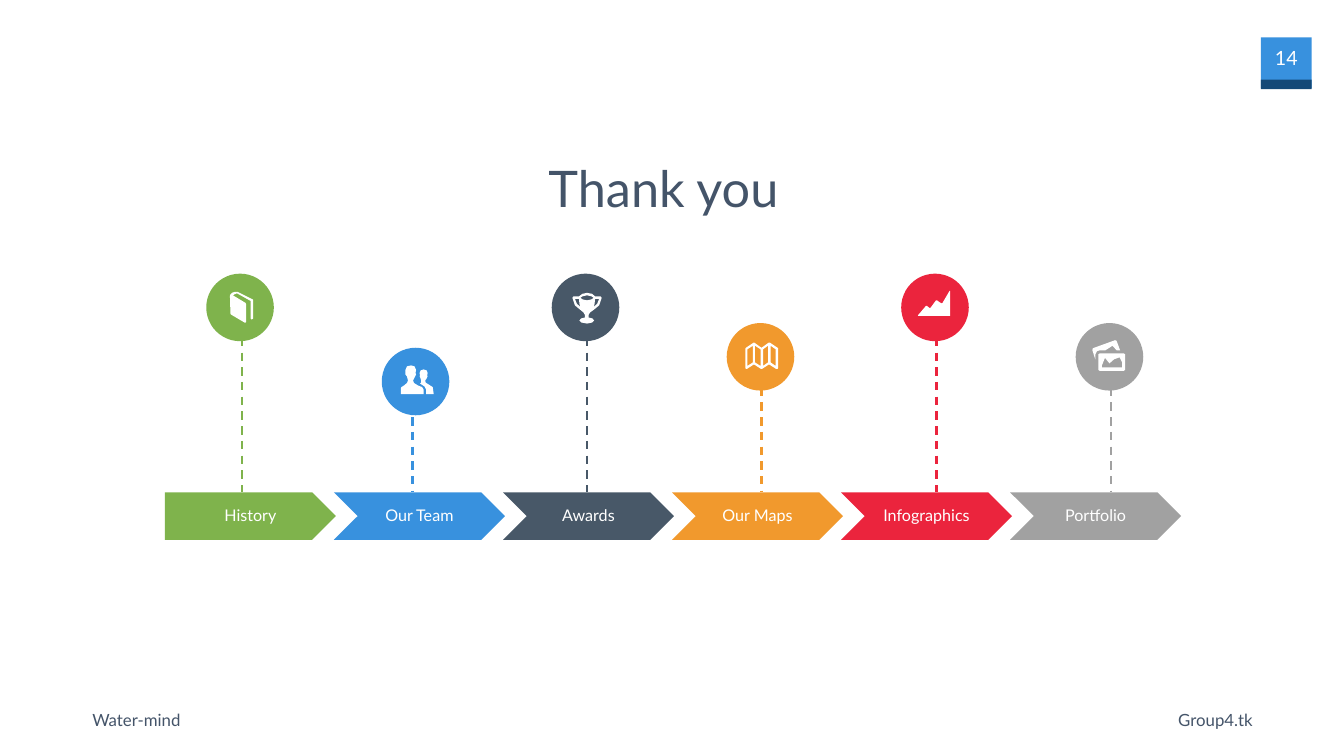
import pptx
import pptx.dml.color
import pptx.enum.dml
import pptx.enum.shapes
import pptx.enum.text
import pptx.oxml.ns
import pptx.util
import lxml.etree

Shape = pptx.enum.shapes.MSO_SHAPE
Align = pptx.enum.text.PP_ALIGN
Anchor = pptx.enum.text.MSO_ANCHOR

COLORS = {
    "green": "7FB34C", "blue": "3891DE", "slate": "485868", "orange": "F1992D",
    "red": "EB243D", "gray": "A1A1A1", "navy": "144977", "ink": "445469", "white": "FFFFFF",
}
COLUMNS, ROWS = 26.65, 15
CIRCLE = 1.34
ARROW_LEFT, ARROW_TOP, ARROW_WIDTH, ARROW_HEIGHT, ARROW_STEP = 3.27, 9.77, 3.39, 0.94, 3.352

BOOK = [
    [(45, 16), (15, 1), (10, 1), (4, 3), (1, 6), (0, 9), (1, 44), (2, 46), (29, 62), (31, 62),
     (32, 61), (32, 25), (31, 23), (6, 8), (9, 6), (14, 4), (39, 18), (41, 19), (41, 54),
     (43, 56), (46, 54), (46, 17)],
]
PEOPLE = [
    [(65, 57), (63, 43), (55, 38), (49, 34), (48, 30), (51, 26), (53, 21), (52, 20), (53, 15),
     (51, 10), (45, 8), (39, 10), (37, 15), (38, 20), (37, 21), (39, 26), (40, 30), (40, 34),
     (38, 36), (47, 42), (50, 48), (50, 57)],
    [(34, 40), (26, 35), (24, 30), (28, 22), (30, 18), (29, 15), (30, 9), (27, 2), (20, 0),
     (12, 2), (9, 9), (9, 18), (12, 22), (14, 30), (12, 35), (6, 40), (1, 43), (0, 45),
     (0, 57), (45, 57), (45, 48), (42, 43)],
]
TROPHY = [
    [(32, 44), (35, 39), (42, 34), (53, 25), (58, 10), (56, 7), (45, 7), (39, 2), (29, 0),
     (20, 2), (13, 7), (2, 7), (0, 10), (5, 25), (16, 34), (22, 39), (25, 44), (25, 49),
     (17, 51), (14, 55), (18, 59), (29, 61), (39, 59), (43, 55), (40, 51), (32, 49)],
    [(42, 28), (44, 22), (45, 12), (53, 12), (49, 22)],
    [(29, 5), (38, 7), (42, 10), (38, 13), (29, 15), (20, 13), (16, 10), (20, 7)],
    [(5, 12), (13, 12), (14, 22), (16, 28), (9, 22)],
]
MAP = [
    [(65, 11), (64, 10), (49, 0), (46, 0), (32, 10), (18, 0), (16, 0), (1, 10), (0, 12),
     (0, 50), (1, 52), (3, 52), (17, 43), (31, 52), (33, 52), (47, 43), (61, 52), (64, 52),
     (65, 50)],
    [(15, 39), (4, 46), (4, 13), (15, 6)],
    [(30, 46), (19, 39), (19, 6), (30, 13)],
    [(45, 39), (35, 46), (35, 13), (45, 6)],
    [(60, 46), (50, 39), (50, 6), (60, 13)],
]
CHART = [
    [(63, 1), (49, 25), (47, 26), (45, 25), (38, 20), (36, 20), (25, 35), (23, 35), (18, 31),
     (16, 31), (0, 50), (1, 51), (64, 51), (64, 1)],
]
PHOTOS = [
    [(55, 20), (48, 1), (45, 0), (1, 16), (0, 20), (6, 38), (6, 28), (9, 22), (15, 20),
     (26, 20), (40, 11), (48, 20)],
    [(62, 26), (15, 26), (12, 28), (12, 59), (15, 61), (62, 61), (65, 59), (65, 28)],
    [(59, 54), (19, 54), (19, 50), (25, 35), (34, 46), (43, 38), (54, 34), (59, 44)],
]

STEPS = [
    ("History", "green", 4.79, (4.09, 5.43), BOOK, (4.56, 5.78)),
    ("Our Team", "blue", 8.18, (7.57, 6.9), PEOPLE, (7.95, 7.25)),
    ("Awards", "slate", 11.64, (10.94, 5.43), TROPHY, (11.35, 5.81)),
    ("Our Maps", "orange", 15.1, (14.41, 6.41), MAP, (14.78, 6.8)),
    ("Infographics", "red", 18.57, (17.87, 5.43), CHART, (18.2, 5.76)),
    ("Portfolio", "gray", 22.03, (21.33, 6.41), PHOTOS, (21.66, 6.75)),
]


def rgb(color):
    return pptx.dml.color.RGBColor.from_string(COLORS[color])


def write_text(frame, text, size=24, color="ink", align=Align.LEFT, anchor=Anchor.MIDDLE,
               spacing=1.0, margins=(0, 0, 0, 0), wrap=True):
    frame.word_wrap = wrap
    frame.auto_size = pptx.enum.text.MSO_AUTO_SIZE.NONE
    frame.vertical_anchor = anchor
    (frame.margin_left, frame.margin_top,
     frame.margin_right, frame.margin_bottom) = map(pptx.util.Inches, margins)
    para = frame.paragraphs[0]
    para.alignment = align
    para.line_spacing = spacing
    span = para.add_run()
    span.text = text
    span.font.name = "Lato"
    span.font.size = pptx.util.Pt(size)
    span.font.color.rgb = rgb(color)


class SlideBuilder:
    def __init__(self, deck):
        self.page = deck.slides.add_slide(deck.slide_layouts[5])
        self.column = deck.slide_width / COLUMNS
        self.row = deck.slide_height / ROWS

    def place(self, left, top, width, height):
        return (round(left * self.column), round(top * self.row),
                round(width * self.column), round(height * self.row))

    def paint(self, shape, color):
        shape.shadow.inherit = False
        shape.fill.solid()
        shape.fill.fore_color.rgb = rgb(color)
        shape.line.fill.background()

    def title(self, text, *area, **style):
        box = self.page.shapes.title
        box.left, box.top, box.width, box.height = self.place(*area)
        write_text(box.text_frame, text, **style)

    def text(self, text, *area, **style):
        box = self.page.shapes.add_textbox(*self.place(*area))
        write_text(box.text_frame, text, **style)

    def shape(self, kind, color, *area):
        shape = self.page.shapes.add_shape(kind, *self.place(*area))
        self.paint(shape, color)
        return shape

    def dashed_line(self, color, column, top, bottom):
        left, start, _, end = self.place(column, top, 0, bottom)
        line = self.page.shapes.add_connector(
            pptx.enum.shapes.MSO_CONNECTOR.STRAIGHT, left, start, left, end)
        line.line.color.rgb = rgb(color)
        line.line.width = pptx.util.Pt(3)
        line.line.dash_style = pptx.enum.dml.MSO_LINE.DASH
        properties = line._element.spPr
        lxml.etree.SubElement(properties, pptx.oxml.ns.qn("a:effectLst"))

    def icon(self, contours, left, top):
        first, *others = contours
        builder = self.page.shapes.build_freeform(*first[0], scale=self.column / 100)
        builder.add_line_segments(first[1:], close=True)
        for contour in others:
            builder.move_to(*contour[0])
            builder.add_line_segments(contour[1:], close=True)
        x, y, _, _ = self.place(left, top, 0, 0)
        self.paint(builder.convert_to_shape(x, y), "white")


def main():
    deck = pptx.Presentation()
    deck.slide_width = pptx.util.Inches(COLUMNS)
    deck.slide_height = pptx.util.Inches(ROWS)
    slide = SlideBuilder(deck)

    slide.shape(Shape.RECTANGLE, "blue", 25, 0.74, 1.01, 1.01)
    slide.shape(Shape.RECTANGLE, "navy", 25, 1.58, 1.01, 0.19)
    slide.text("Group4.tk", 22.15, 14.08, 2.69, 0.4, align=Align.RIGHT, wrap=False)
    slide.text("Water-mind", 1.78, 14.03, 4, 0.5, anchor=Anchor.TOP, margins=(0.05,) * 4)
    slide.text("14", 25, 0.82, 1.01, 0.67, size=28, color="white", align=Align.CENTER,
               anchor=Anchor.TOP, margins=(0.1,) * 4)
    slide.title("Thank you", 8.87, 3.12, 8.57, 1.21, size=72, align=Align.CENTER)

    for index, (label, color, _, _, _, _) in enumerate(STEPS):
        kind = Shape.CHEVRON if index else Shape.PENTAGON
        arrow = slide.shape(kind, color, ARROW_LEFT + index * ARROW_STEP, ARROW_TOP,
                            ARROW_WIDTH, ARROW_HEIGHT)
        indent = 0 if index else ARROW_HEIGHT / 4
        write_text(arrow.text_frame, label, size=23, color="white", align=Align.CENTER,
                   spacing=0.9, margins=(indent, 0, 0, 0))

    for _, color, column, (left, top), contours, corner in STEPS:
        slide.dashed_line(color, column, 6.41 if top < 6 else 7.4, ARROW_TOP)
        slide.shape(Shape.OVAL, color, left, top, CIRCLE, CIRCLE)
        slide.icon(contours, *corner)

    deck.save("out.pptx")


if __name__ == "__main__":
    main()
